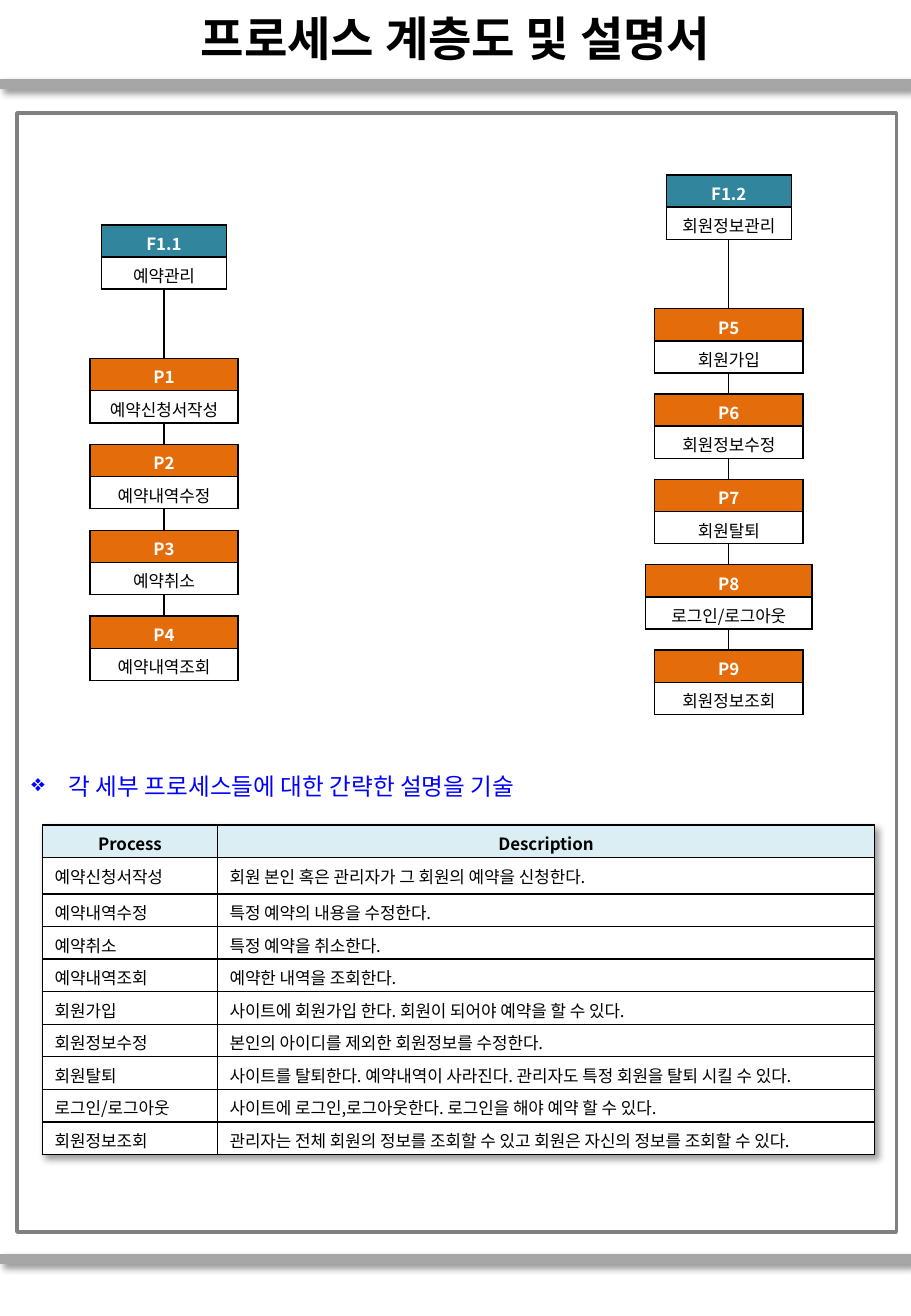
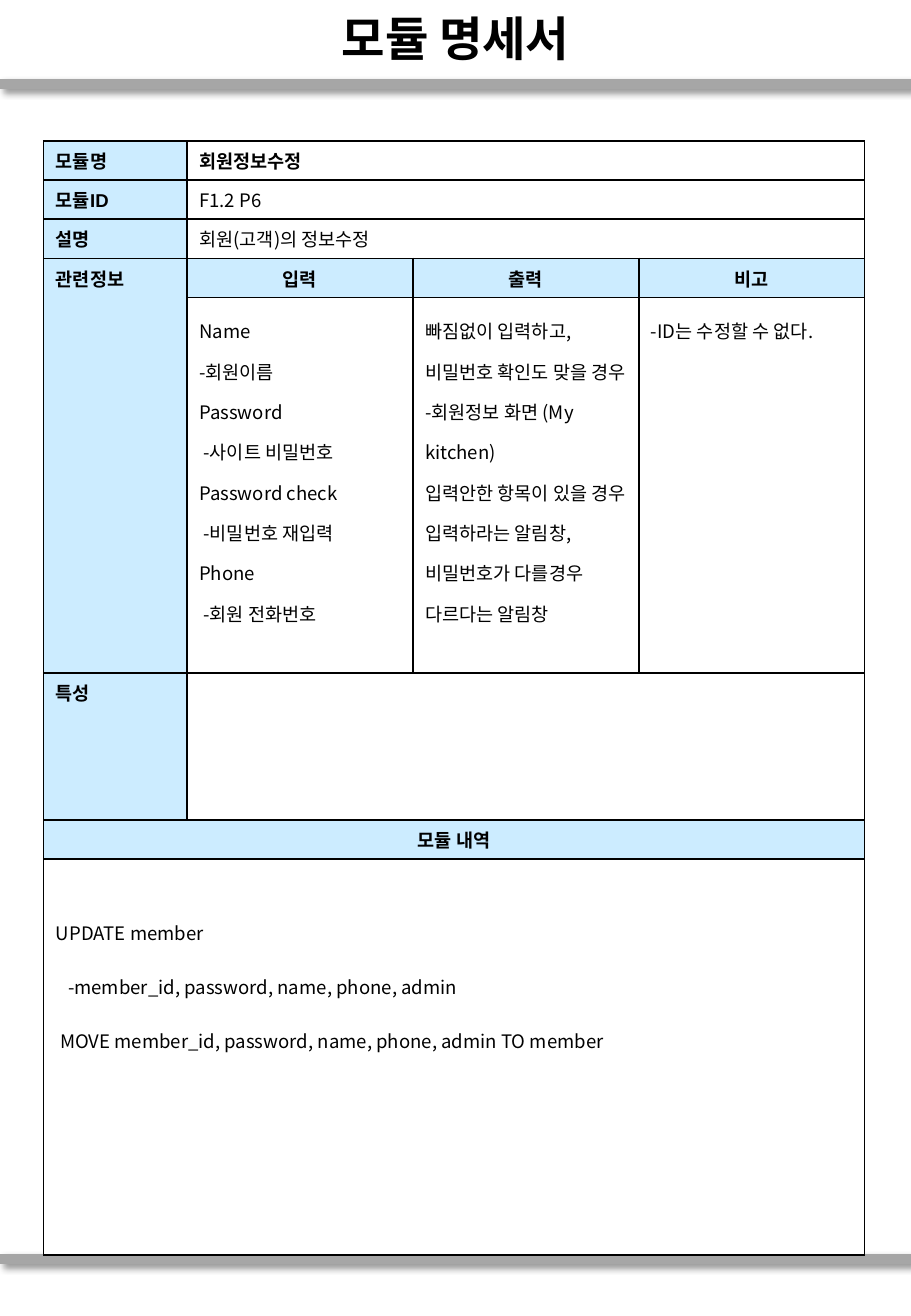
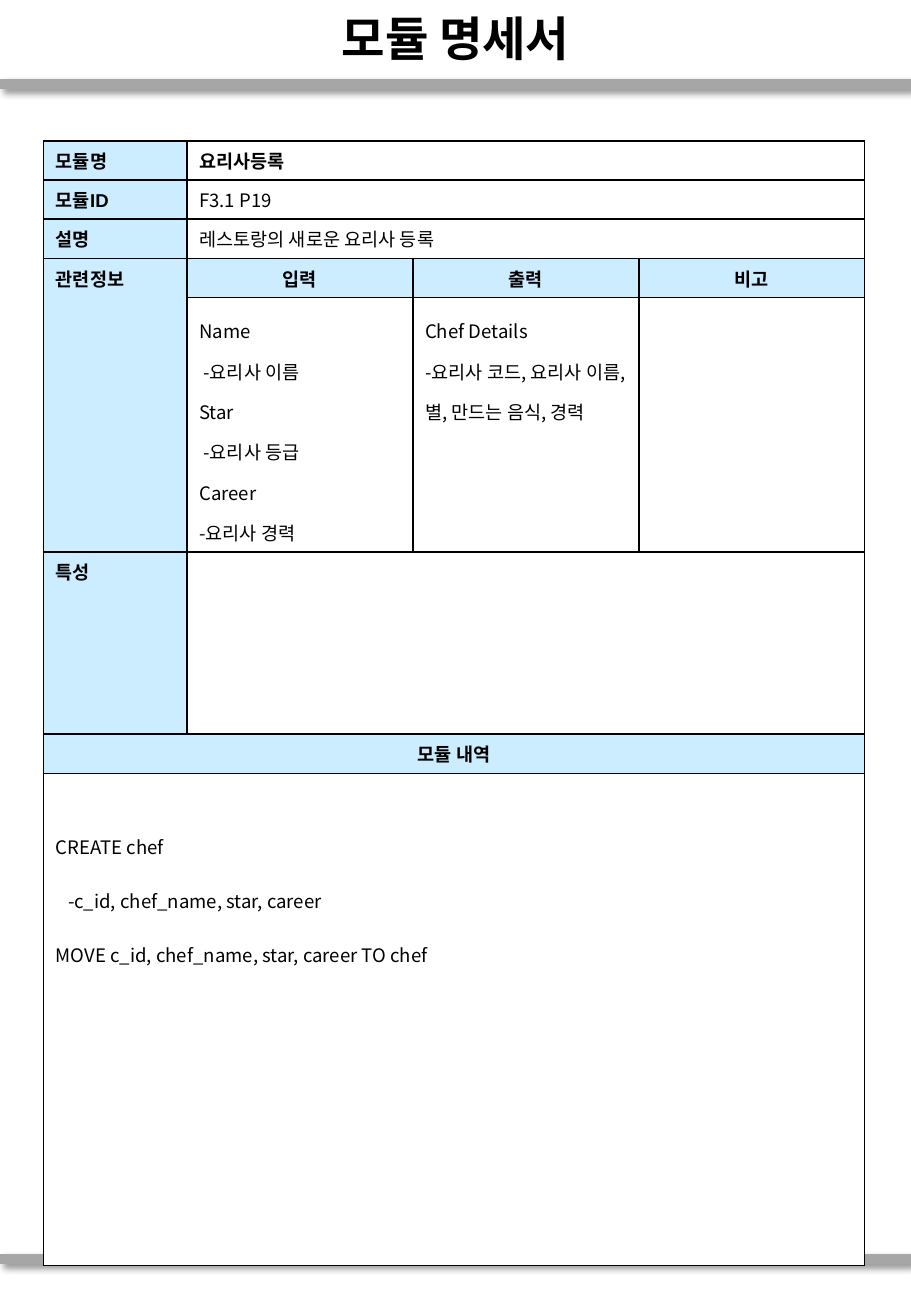
from dataclasses import dataclass

from lxml.etree import SubElement
from pptx import Presentation
from pptx.dml.color import RGBColor
from pptx.enum.shapes import MSO_CONNECTOR as Connector, MSO_SHAPE as Shape
from pptx.enum.text import MSO_ANCHOR as Anchor, MSO_AUTO_SIZE as AutoSize, PP_ALIGN as Align
from pptx.oxml import parse_xml
from pptx.oxml.ns import nsdecls, qn
from pptx.util import Inches, Pt

KOREAN, LATIN = "Noto Sans CJK KR", "Arial"
BLACK, WHITE, BLUE = "000000", "FFFFFF", "0000FF"
BAND, FRAME = "A6A6A6", "808080"
FUNCTION, PROCESS = "31859C", "E46C0A"
HEADING, LABEL = "DBEEF4", "CCECFF"
SHADOW = ('<a:outerShdw blurRad="50800" dist="38100" dir="2700000" algn="tl" rotWithShape="0">'
          '<a:srgbClr val="000000"><a:alpha val="40000"/></a:srgbClr></a:outerShdw>')


def rgb(hex_color):
    return RGBColor.from_string(hex_color)


def effects(content=""):
    return parse_xml(f'<a:effectLst {nsdecls("a")}>{content}</a:effectLst>')


@dataclass
class Cell:
    """Look and paragraphs of one table cell; indents are inches, one per paragraph."""
    lines: tuple = ()
    fill: str = WHITE
    color: str = BLACK
    bold: bool = False
    font: str = KOREAN
    align: Align = Align.LEFT
    spacing: float = 1
    indents: tuple = ()
    top: float = 0.05
    bottom: float = 0.05


class Deck:
    def __init__(self):
        self.prs = Presentation()
        self.prs.slide_width, self.prs.slide_height = Inches(7.5), Inches(10.83)
        self.layout = self.prs.slide_layouts[5]
        for holder in list(self.layout.placeholders):
            if holder.placeholder_format.idx:
                holder.element.getparent().remove(holder.element)
            else:
                holder.left, holder.top = 0, Inches(0.01)
                holder.width, holder.height = Inches(7.5), Inches(0.6)
        self.slide = None

    def page(self, title):
        """Start a slide; the first one also gives the layout its two bands."""
        self.slide = self.prs.slides.add_slide(self.layout)
        if len(self.prs.slides) == 1:
            for y in (0.69, 10.36):
                band = self.line(0, y, 7.5, y, BAND, 6, SHADOW)
                self.layout.shapes.element.append(band.element)
        frame = self.slide.shapes.title.text_frame
        frame.auto_size = AutoSize.NONE
        frame.vertical_anchor = Anchor.MIDDLE
        frame.paragraphs[0].alignment = Align.CENTER
        self.text(frame.paragraphs[0], title, 28, BLACK, True)

    def text(self, paragraph, words, size, color, bold=False, font=KOREAN):
        run = paragraph.add_run()
        run.text = words
        run.font.size, run.font.bold, run.font.name = Pt(size), bold, font
        run.font.color.rgb = rgb(color)
        SubElement(run.font._element, qn("a:ea"), typeface=KOREAN)

    def line(self, x1, y1, x2, y2, color=BLACK, width=0.75, effect=""):
        line = self.slide.shapes.add_connector(
            Connector.STRAIGHT, Inches(x1), Inches(y1), Inches(x2), Inches(y2))
        line.line.color.rgb, line.line.width = rgb(color), Pt(width)
        line.element.spPr.append(effects(effect))
        return line

    def frame(self, x, y, w, h):
        frame = self.slide.shapes.add_shape(
            Shape.RECTANGLE, Inches(x), Inches(y), Inches(w), Inches(h))
        frame.shadow.inherit = False
        frame.fill.solid()
        frame.fill.fore_color.rgb = rgb(WHITE)
        frame.line.color.rgb, frame.line.width = rgb(FRAME), Pt(2)

    def bullet(self, x, y, w, h, words):
        box = self.slide.shapes.add_textbox(Inches(x), Inches(y), Inches(w), Inches(h))
        box.text_frame.word_wrap = True
        paragraph = box.text_frame.paragraphs[0]
        props = paragraph._p.get_or_add_pPr()
        props.set("marL", str(Inches(0.31)))
        props.set("indent", str(-Inches(0.31)))
        SubElement(props, qn("a:buChar"), char="❖")
        self.text(paragraph, words, 14, BLUE)

    def table(self, x, y, columns, heights, rows, size, merges=(), shadow=False):
        """Draw rows of Cells; None marks a place covered by a merge (row, column, row, column)."""
        holder = self.slide.shapes.add_table(
            len(rows), len(columns), Inches(x), Inches(y),
            Inches(sum(columns)), Inches(sum(heights)))
        table = holder.table
        table.first_row = table.horz_banding = False
        if shadow:
            table._tbl.tblPr.insert(0, effects(SHADOW))
        for column, width in zip(table.columns, columns):
            column.width = Inches(width)
        for row, height in zip(table.rows, heights):
            row.height = Inches(height)
        for top, left, bottom, right in merges:
            table.cell(top, left).merge(table.cell(bottom, right))
        for r, row in enumerate(rows):
            for c, cell in enumerate(row):
                self.fill_cell(table.cell(r, c), cell or Cell(), size)

    def fill_cell(self, target, cell, size):
        target.fill.solid()
        target.fill.fore_color.rgb = rgb(cell.fill)
        target.margin_top, target.margin_bottom = Inches(cell.top), Inches(cell.bottom)
        for i, side in enumerate("LRTB"):
            target._tc.tcPr.insert(i, parse_xml(
                f'<a:ln{side} {nsdecls("a")} w="12700"><a:solidFill>'
                f'<a:srgbClr val="{BLACK}"/></a:solidFill></a:ln{side}>'))
        for i, words in enumerate(cell.lines):
            frame = target.text_frame
            paragraph = frame.add_paragraph() if i else frame.paragraphs[0]
            paragraph.alignment, paragraph.line_spacing = cell.align, float(cell.spacing)
            if cell.indents and cell.indents[i]:
                paragraph._p.get_or_add_pPr().set("marL", str(Inches(cell.indents[i])))
            self.text(paragraph, words, size, cell.color, cell.bold, cell.font)

    def box(self, center, y, width, code, name, fill):
        """A code above a name, centred on a vertical line."""
        head = Cell((code,), fill, WHITE, True, align=Align.CENTER, bottom=0.01)
        body = Cell((name,), align=Align.CENTER, bottom=0.01)
        self.table(center - width / 2, y, [width], [0.53 / 2] * 2, [[head], [body]], 10)

    def hierarchy(self, center, root_top, root, first_top, last_top, steps):
        """A function box and its processes, spaced evenly from first_top to last_top."""
        self.box(center, root_top, 1.03, *root, FUNCTION)
        self.line(center, root_top + 0.53, center, last_top)
        pitch = (last_top - first_top) / (len(steps) - 1)
        for i, (code, name) in enumerate(steps):
            width = 1.37 if "/" in name else 1.22
            self.box(center, first_top + i * pitch, width, code, name, PROCESS)

    def module(self, name, code, purpose, inputs, outputs, notes, logic, heights):
        """A module sheet; heights are those of the details, traits and logic rows."""
        self.page("모듈 명세서")

        def label(words, align=Align.LEFT):
            return Cell((words,), LABEL, bold=True, font=LATIN, align=align)

        details, traits, steps = heights
        rows = [
            [label("모듈명"), Cell((name,), bold=True), None, None],
            [label("모듈ID"), Cell((code,)), None, None],
            [label("설명"), Cell((purpose,)), None, None],
            [label("관련정보")] + [label(words, Align.CENTER) for words in ("입력", "출력", "비고")],
            [None] + [Cell(lines, spacing=1.5) for lines in (inputs, outputs, notes)],
            [label("특성"), None, None, None],
            [label("모듈 내역", Align.CENTER), None, None, None],
            [Cell(logic, spacing=2, indents=(0, 0.1, 0), top=0.27), None, None, None],
        ]
        merges = [(r, 1, r, 3) for r in (0, 1, 2, 5)] + [(r, 0, r, 3) for r in (6, 7)]
        self.table(0.36, 1.16, [1.18] + [1.86] * 3,
                   [0.32] * 4 + [details, traits, 0.32, steps],
                   rows, 11, merges + [(3, 0, 4, 0)])


def hierarchy_page(deck):
    deck.page("프로세스 계층도 및 설명서")
    deck.frame(0.14, 0.93, 7.24, 9.21)
    deck.bullet(0.16, 6.3, 6.14, 0.34, "각 세부 프로세스들에 대한 간략한 설명을 기술")
    processes = [
        ("예약신청서작성", "회원 본인 혹은 관리자가 그 회원의 예약을 신청한다."),
        ("예약내역수정", "특정 예약의 내용을 수정한다."),
        ("예약취소", "특정 예약을 취소한다."),
        ("예약내역조회", "예약한 내역을 조회한다."),
        ("회원가입", "사이트에 회원가입 한다. 회원이 되어야 예약을 할 수 있다."),
        ("회원정보수정", "본인의 아이디를 제외한 회원정보를 수정한다."),
        ("회원탈퇴", "사이트를 탈퇴한다. 예약내역이 사라진다. 관리자도 특정 회원을 탈퇴 시킬 수 있다."),
        ("로그인/로그아웃", "사이트에 로그인,로그아웃한다. 로그인을 해야 예약 할 수 있다."),
        ("회원정보조회", "관리자는 전체 회원의 정보를 조회할 수 있고 회원은 자신의 정보를 조회할 수 있다."),
    ]
    headings = [Cell((words,), HEADING, bold=True, align=Align.CENTER, bottom=0.01)
                for words in ("Process", "Description")]
    body = [[Cell((words,), bottom=0.01) for words in process] for process in processes]
    height = (2.71 - 0.3) / len(processes)
    deck.table(0.35, 6.79, [1.44, 5.41], [height, 0.3] + [height] * 8,
               [headings] + body, 10, shadow=True)
    steps = [(f"P{i}", name) for i, (name, _) in enumerate(processes, 1)]
    deck.hierarchy(1.35, 1.85, ("F1.1", "예약관리"), 2.95, 5.07, steps[:4])
    deck.hierarchy(6, 1.44, ("F1.2", "회원정보관리"), 2.54, 5.35, steps[4:])


def main():
    deck = Deck()
    hierarchy_page(deck)
    deck.module(
        "회원정보수정", "F1.2 P6", "회원(고객)의 정보수정",
        inputs=("Name", "-회원이름", "Password", " -사이트 비밀번호",
                "Password check", " -비밀번호 재입력", "Phone", " -회원 전화번호"),
        outputs=("빠짐없이 입력하고, 비밀번호 확인도 맞을 경우",
                 "-회원정보 화면 (My kitchen)",
                 "입력안한 항목이 있을 경우 입력하라는 알림창, 비밀번호가 다를경우 다르다는 알림창"),
        notes=("-ID는 수정할 수 없다.",),
        logic=("UPDATE member", "-member_id, password, name, phone, admin",
               " MOVE member_id, password, name, phone, admin TO member"),
        heights=(3.09, 1.21, 3.26))
    deck.module(
        "요리사등록", "F3.1 P19", "레스토랑의 새로운 요리사 등록",
        inputs=("Name", " -요리사 이름", "Star", " -요리사 등급", "Career", "-요리사 경력"),
        outputs=("Chef Details", "-요리사 코드, 요리사 이름, 별, 만드는 음식, 경력"),
        notes=(),
        logic=("CREATE chef", "-c_id, chef_name, star, career",
               "MOVE c_id, chef_name, star, career TO chef"),
        heights=(2.09, 1.5, 4.05))
    deck.prs.save("out.pptx")


if __name__ == "__main__":
    main()
